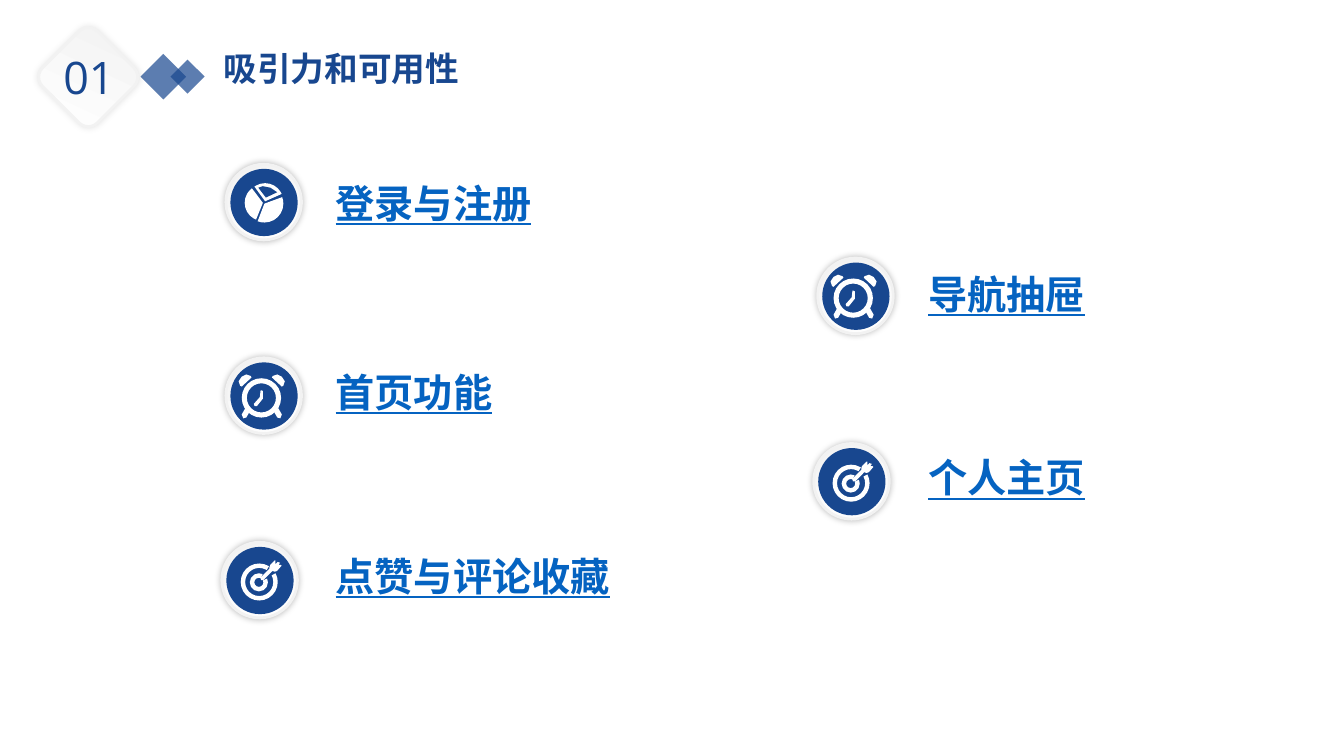
"""Build the section slide with five icon buttons and their underlined labels."""
from pptx import Presentation
from pptx.dml.color import RGBColor
from pptx.enum.shapes import MSO_SHAPE as Preset
from pptx.enum.text import MSO_AUTO_SIZE as AutoSize
from pptx.oxml.ns import qn
from pptx.util import Inches, Pt
from lxml.etree import SubElement

NAVY = RGBColor(0x18, 0x47, 0x8F)
LINK = RGBColor(0x05, 0x63, 0xC1)
WHITE = RGBColor(0xFF, 0xFF, 0xFF)
PALE = RGBColor(0xF2, 0xF2, 0xF2)

deck = Presentation()
deck.slide_width, deck.slide_height = Inches(13.33), Inches(7.5)
page = deck.slides.add_slide(deck.slide_layouts[6])
CELL = deck.slide_height / 75
DISC = 7.5 * CELL
STEP = DISC / 100


def add_flat(preset, left, top, size, color, adjustments=(), alpha=None, rotation=0):
    """Add a square-framed shape with a plain fill and no outline."""
    shape = page.shapes.add_shape(preset, *(round(v) for v in (left, top, size, size)))
    shape.shadow.inherit = False
    shape.rotation = rotation
    shape.fill.solid()
    shape.fill.fore_color.rgb = color
    shape.line.fill.background()
    for index, value in enumerate(adjustments):
        shape.adjustments[index] = value
    if alpha:
        tint = shape.fill._xPr.find(".//" + qn("a:srgbClr"))
        SubElement(tint, qn("a:alpha"), val=str(alpha * 1000))
    return shape


def add_raised(preset, left, top, size, shade, rotation=0):
    """Add a white gradient shape with a pale rim and a soft shadow."""
    shape = add_flat(preset, left, top, size, WHITE, rotation=rotation)
    shape.fill.gradient()
    shape.fill.gradient_angle = 110
    for stop, color, place in zip(shape.fill.gradient_stops, (WHITE, PALE), (0, 1)):
        stop.color.rgb, stop.position = color, place
    shape.line.color.rgb = PALE
    shape.line.width = Pt(2)
    effects = shape._element.spPr.find(qn("a:effectLst"))
    shadow = SubElement(effects, qn("a:outerShdw"), blurRad=str(Pt(5)), dist="0", dir="0",
                        algn="ctr", rotWithShape="0")
    tint = SubElement(shadow, qn("a:srgbClr"), val="000000")
    SubElement(tint, qn("a:alpha"), val=str(shade * 1000))


BELL = [(-31, -13), (-33, -19), (-29, -25), (-23, -28), (-17, -26), (-16, -24), (-29, -12)]
LEG = [(-24, 16), (-29, 25), (-27, 30), (-23, 29), (-19, 22)]
HAND = [(-4, -7), (-5, 2), (-13, 11), (-12, 14), (-9, 14), (-1, 4), (-1, -6), (-3, -7)]
DART = [(25, -20), (27, -23), (24, -24), (21, -21), (21, -26), (20, -26), (14, -20),
        (13, -17), (13, -15), (1, -3), (2, 0), (5, 0), (17, -12), (20, -11), (23, -12),
        (29, -19), (28, -20)]
SLICE_WINDOW = [(3, -6), (-7, -19), (-1, -21), (9, -19), (15, -15), (18, -13)]
MIRRORED = [[(-5 - x, y) for x, y in outline] for outline in (BELL, LEG)]

# Angles of pies and arcs are stored as 0.6 per degree.
ICONS = {
    "pie": {
        "presets": [(Preset.PIE, -24, -23, 50, (340 * 0.6, 111 * 0.6)),
                    (Preset.PIE, -25, -23, 48, (112 * 0.6, 233 * 0.6)),
                    (Preset.PIE, -22, -25, 48, (234 * 0.6, 336 * 0.6))],
        "outlines": [(SLICE_WINDOW, NAVY)]},
    "clock": {
        "presets": [(Preset.DONUT, -29, -23, 52, (0.13,))],
        "outlines": [(outline, WHITE) for outline in (BELL, LEG, HAND, *MIRRORED)]},
    "target": {
        "presets": [(Preset.BLOCK_ARC, -25, -22, 49, (332 * 0.6, 302 * 0.6, 0.12)),
                    (Preset.BLOCK_ARC, -13, -9, 24, (335 * 0.6, 295 * 0.6, 0.25))],
        "outlines": [(DART, WHITE)]},
}

BUTTONS = [
    ("pie", 22.4, 16.3), ("clock", 22.4, 35.5), ("target", 22, 53.8),
    ("clock", 81.1, 25.6), ("target", 80.7, 44),
]
for icon, left, top in BUTTONS:
    add_raised(Preset.OVAL, left * CELL, top * CELL, DISC, 26)
    center_x, center_y = left * CELL + DISC / 2, top * CELL + DISC / 2
    disc = (Preset.OVAL, -44, -44, 89, ())
    for preset, x, y, size, adjustments in [disc] + ICONS[icon]["presets"]:
        color = NAVY if preset == Preset.OVAL else WHITE
        add_flat(preset, center_x + x * STEP, center_y + y * STEP, size * STEP, color, adjustments)
    for outline, color in ICONS[icon]["outlines"]:
        builder = page.shapes.build_freeform(*outline[0], scale=STEP)
        builder.add_line_segments(outline[1:], close=True)
        part = builder.convert_to_shape(round(center_x), round(center_y))
        part.shadow.inherit = False
        part.fill.solid()
        part.fill.fore_color.rgb = color
        part.line.fill.background()

for left, top, size in [(14.6, 6, 3.2), (17.4, 6.4, 2.4)]:
    add_flat(Preset.RECTANGLE, left * CELL, top * CELL, size * CELL, NAVY, alpha=70, rotation=225)
add_raised(Preset.ROUNDED_RECTANGLE, 4.9 * CELL, 3.8 * CELL, 7.7 * CELL, 11, rotation=45)

LABEL = {"name": "Arial", "size": Pt(28), "bold": True, "underline": True}
TITLE = {"name": "Open Sans", "size": Pt(24), "bold": True}
NUMBER = {"name": "Open Sans", "size": Pt(32)}
TEXTS = [
    ("吸引力和可用性", 21.2, 4.3, 26.5, 5, TITLE, NAVY),
    ("01", 5.3, 4.4, 7.1, 6.4, NUMBER, NAVY),
    ("登录与注册", 32.3, 17.3, 22.2, 5.7, LABEL, LINK),
    ("首页功能", 32.3, 36, 22.2, 5.7, LABEL, LINK),
    ("点赞与评论收藏", 32.3, 54.3, 31.9, 5.7, LABEL, LINK),
    ("导航抽屉", 91.1, 26.3, 22.2, 5.7, LABEL, LINK),
    ("个人主页", 91.1, 44.5, 31.9, 5.7, LABEL, LINK),
]
for words, left, top, width, height, style, color in TEXTS:
    box = page.shapes.add_textbox(*(round(v * CELL) for v in (left, top, width, height)))
    box.text_frame.word_wrap = style is not NUMBER
    box.text_frame.auto_size = AutoSize.SHAPE_TO_FIT_TEXT
    span = box.text_frame.paragraphs[0].add_run()
    span.text = words
    for name, value in style.items():
        setattr(span.font, name, value)
    span.font.color.rgb = color

deck.save("out.pptx")
